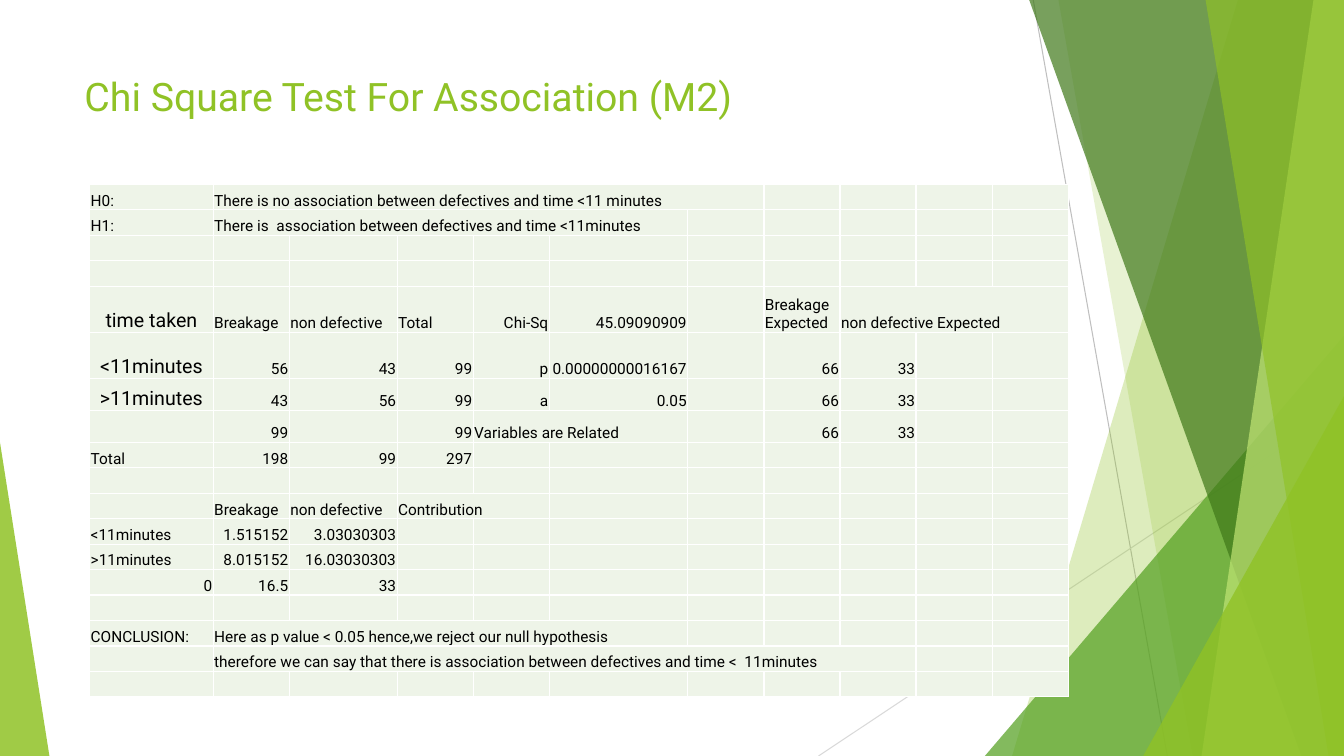
from dataclasses import dataclass
from typing import Any

from lxml import etree
from pptx import Presentation
from pptx.dml.color import RGBColor
from pptx.enum.shapes import MSO_CONNECTOR, MSO_SHAPE
from pptx.enum.text import MSO_ANCHOR, PP_ALIGN
from pptx.oxml.ns import qn
from pptx.util import Emu, Pt

LEFT, CENTER, RIGHT = PP_ALIGN.LEFT, PP_ALIGN.CENTER, PP_ALIGN.RIGHT
TOP, BOTTOM = MSO_ANCHOR.TOP, MSO_ANCHOR.BOTTOM
TRIANGLE = MSO_SHAPE.ISOSCELES_TRIANGLE
STRAIGHT = MSO_CONNECTOR.STRAIGHT

EMU_PER_PX = 2286  # 400 px to the inch
WIDTH, HEIGHT = 5333, 3000


@dataclass(frozen=True)
class Theme:
    font: str = "Roboto"
    title_size: int = 28
    heading_size: int = 14
    body_size: int = 11
    lime: str = "90C226"
    green: str = "54A021"
    forest: str = "3F7819"
    pale_lime: str = "C0E474"
    cell: str = "EEF4E8"
    text: str = "000000"
    border: str = "FFFFFF"
    dark_rule: str = "BFBFBF"
    light_rule: str = "D9D9D9"


THEME = Theme()


@dataclass(frozen=True)
class Rule:
    start: tuple[int, int]
    end: tuple[int, int]
    color: str


@dataclass(frozen=True)
class Band:
    """A full-height facet that reaches the right edge of the slide."""
    top_x: int
    bottom_x: int
    color: str
    opacity: int


@dataclass(frozen=True)
class Corner:
    """A right triangle standing on the bottom edge of the slide."""
    left: int
    top: int
    width: int
    apex: float
    color: str
    opacity: int


@dataclass(frozen=True)
class Entry:
    column: int
    text: str
    align: Any = LEFT
    span: int = 1
    size: int = THEME.body_size


RULES = [
    Rule((4100, 0), (4632, HEIGHT), THEME.dark_rule),
    Rule((WIDTH, 1612), (3248, HEIGHT), THEME.light_rule),
]
FACETS = [
    Band(4912, 4016, THEME.lime, 30),
    Band(4200, 4732, THEME.lime, 20),
    Corner(3908, 1332, 1425, 1, THEME.green, 72),
    Band(4084, 5164, THEME.forest, 70),
    Band(5212, 4768, THEME.pale_lime, 70),
    Band(4784, 5272, THEME.lime, 65),
    Corner(4536, 1572, 797, 1, THEME.lime, 80),
    Corner(0, 1756, 196, 0, THEME.lime, 85),
]


def heading(text: str) -> Entry:
    return Entry(0, text, CENTER, size=THEME.heading_size)


def numbers(column: int, *values: str) -> list[Entry]:
    """Right-aligned entries in neighbouring columns."""
    return [Entry(column + i, value, RIGHT) for i, value in enumerate(values)]


COLUMN_WIDTHS = [490, 302, 428, 302, 302, 550] + [302] * 5
ROW_HEIGHT = 101
TALL_ROWS = {4: 183, 5: 183, 6: 127, 7: 127}
ROWS: list[list[Entry]] = [
    [Entry(0, "H0:"),
     Entry(1, "There is no association between defectives and time <11 minutes", span=6)],
    [Entry(0, "H1:"),
     Entry(1, "There is  association between defectives and time <11minutes", span=5)],
    [],
    [],
    [heading("time taken"), Entry(1, "Breakage"), Entry(2, "non defective"),
     Entry(3, "Total"), *numbers(4, "Chi-Sq", "45.09090909"),
     Entry(7, "Breakage Expected"), Entry(8, "non defective Expected", span=3)],
    [heading("<11minutes"), *numbers(1, "56", "43", "99", "p", "0.00000000016167"),
     *numbers(7, "66", "33")],
    [heading(">11minutes"), *numbers(1, "43", "56", "99", "a", "0.05"),
     *numbers(7, "66", "33")],
    [*numbers(1, "99"), *numbers(3, "99"),
     Entry(4, "Variables are Related", span=2), *numbers(7, "66", "33")],
    [Entry(0, "Total"), *numbers(1, "198", "99", "297")],
    [],
    [Entry(1, "Breakage"), Entry(2, "non defective"), Entry(3, "Contribution", span=2)],
    [Entry(0, "<11minutes"), *numbers(1, "1.515152", "3.03030303")],
    [Entry(0, ">11minutes"), *numbers(1, "8.015152", "16.03030303")],
    numbers(0, "0", "16.5", "33"),
    [],
    [Entry(0, "CONCLUSION:"),
     Entry(1, "Here as p value < 0.05 hence,we reject our null hypothesis", span=5)],
    [Entry(1, "therefore we can say that there is association between "
              "defectives and time <  11minutes", span=8)],
    [],
]


def px(length: int) -> Emu:
    return Emu(length * EMU_PER_PX)


def write(frame: Any, text: str, *, size: int, color: str = THEME.text,
          align: Any = LEFT) -> None:
    paragraph = frame.paragraphs[0]
    paragraph.alignment = align
    run = paragraph.add_run()
    run.text = text
    run.font.name = THEME.font
    run.font.size = Pt(size)
    run.font.color.rgb = RGBColor.from_string(color)


def draw_rule(shapes: Any, rule: Rule) -> None:
    line = shapes.add_connector(STRAIGHT, *map(px, rule.start + rule.end))
    line.line.color.rgb = RGBColor.from_string(rule.color)
    line.line.width = Pt(0.75)
    etree.SubElement(line._element.spPr, qn("a:effectLst"))


def draw_facet(shapes: Any, facet: Band | Corner) -> None:
    if isinstance(facet, Band):
        builder = shapes.build_freeform(facet.top_x, 0, scale=EMU_PER_PX)
        builder.add_line_segments(
            [(WIDTH, 0), (WIDTH, HEIGHT), (facet.bottom_x, HEIGHT)], close=True)
        shape = builder.convert_to_shape()
    else:
        shape = shapes.add_shape(TRIANGLE, px(facet.left), px(facet.top),
                                 px(facet.width), px(HEIGHT - facet.top))
        shape.adjustments[0] = facet.apex
    shape.shadow.inherit = False
    shape.line.fill.background()
    shape.fill.solid()
    shape.fill.fore_color.rgb = RGBColor.from_string(facet.color)
    color = shape._element.spPr.find(f"{qn('a:solidFill')}/{qn('a:srgbClr')}")
    etree.SubElement(color, qn("a:alpha"), val=str(facet.opacity * 1000))


def style_cell(cell: Any) -> None:
    cell.margin_left = cell.margin_right = cell.margin_top = px(4)
    cell.margin_bottom = 0
    cell.vertical_anchor = BOTTOM
    cell.fill.solid()
    cell.fill.fore_color.rgb = RGBColor.from_string(THEME.cell)
    properties = cell._tc.get_or_add_tcPr()
    for index, side in enumerate(("lnL", "lnR", "lnT", "lnB")):
        border = etree.Element(qn(f"a:{side}"), w=str(Pt(1)))
        fill = etree.SubElement(border, qn("a:solidFill"))
        etree.SubElement(fill, qn("a:srgbClr"), val=THEME.border)
        properties.insert(index, border)
    # Keeps empty cells from stretching their row
    etree.SubElement(cell.text_frame.paragraphs[0]._p, qn("a:endParaRPr"),
                     sz=str(THEME.body_size * 100))


def draw_table(shapes: Any) -> None:
    heights = [TALL_ROWS.get(i, ROW_HEIGHT) for i in range(len(ROWS))]
    table = shapes.add_table(len(ROWS), len(COLUMN_WIDTHS), px(356), px(732),
                             px(sum(COLUMN_WIDTHS)), px(sum(heights))).table
    table.first_row = table.horz_banding = False
    for column, width in zip(table.columns, COLUMN_WIDTHS):
        column.width = px(width)
    for row, height in zip(table.rows, heights):
        row.height = px(height)
    for cell in table.iter_cells():
        style_cell(cell)
    for row_index, entries in enumerate(ROWS):
        for entry in entries:
            cell = table.cell(row_index, entry.column)
            if entry.span > 1:
                cell.merge(table.cell(row_index, entry.column + entry.span - 1))
            write(cell.text_frame, entry.text, size=entry.size, align=entry.align)


def main() -> None:
    presentation = Presentation()
    presentation.slide_width, presentation.slide_height = px(WIDTH), px(HEIGHT)
    shapes = presentation.slides.add_slide(presentation.slide_layouts[6]).shapes
    for rule in RULES:
        draw_rule(shapes, rule)
    for facet in FACETS:
        draw_facet(shapes, facet)
    title = shapes.add_textbox(px(296), px(268), px(3760), px(576)).text_frame
    title.word_wrap = True
    title.vertical_anchor = TOP
    write(title, "Chi Square Test For Association (M2)",
          size=THEME.title_size, color=THEME.lime)
    draw_table(shapes)
    presentation.save("out.pptx")


if __name__ == "__main__":
    main()
